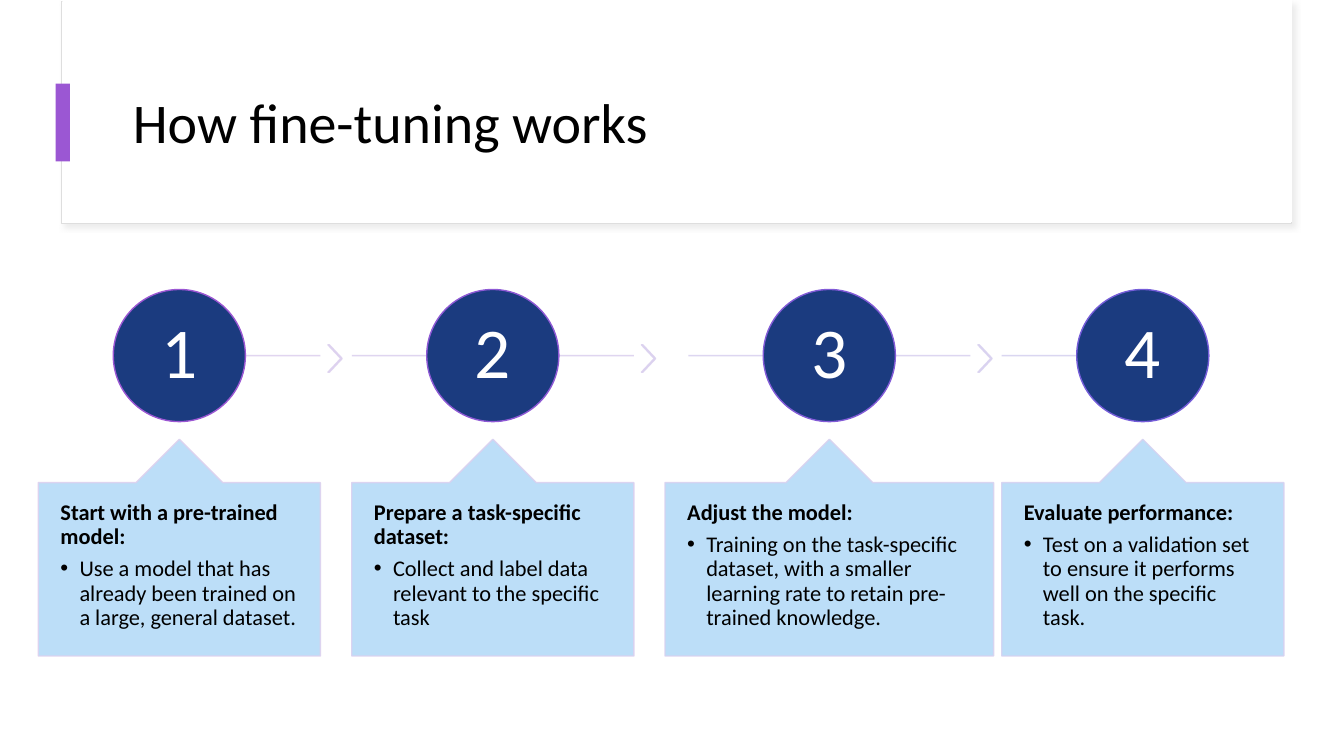
from lxml import etree
from pptx import Presentation
from pptx.dml.color import RGBColor
from pptx.enum.shapes import MSO_CONNECTOR, MSO_SHAPE
from pptx.enum.text import MSO_ANCHOR, PP_ALIGN
from pptx.oxml.ns import qn
from pptx.util import Cm, Pt

RECT, OVAL = MSO_SHAPE.RECTANGLE, MSO_SHAPE.OVAL
CHEVRON, CALLOUT = MSO_SHAPE.CHEVRON, MSO_SHAPE.UP_ARROW_CALLOUT
TOP, MIDDLE = MSO_ANCHOR.TOP, MSO_ANCHOR.MIDDLE
LEFT, CENTER = PP_ALIGN.LEFT, PP_ALIGN.CENTER

# Content
TITLE = "How fine-tuning works"
# heading, explanation, centre and width of the callout (cm)
STEPS = [
    ("Start with a pre-trained model:",
     "Use a model that has already been trained on a large, general dataset.", 4.52, 7.11),
    ("Prepare a task-specific dataset:",
     "Collect and label data relevant to the specific task", 12.42, 7.11),
    ("Adjust the model:",
     "Training on the task-specific dataset, with a smaller learning rate "
     "to retain pre-trained knowledge.", 20.9, 8.28),
    ("Evaluate performance:",
     "Test on a validation set to ensure it performs well on the specific task.", 28.8, 7.11),
]
# circle outline, track, chevron and callout outline of each step
TINTS = [
    ("9B57D3", "DED1EF", "DDD1EF", "DDD1EF"),
    ("8E59D5", "DCD1EF", "DBD1EF", "DAD1F0"),
    ("825BD7", "DAD2F0", "D9D2F0", "D8D2F0"),
    ("755DD9", "D7D2F0", "D7D2F0", "D6D2F1"),
]
NAVY, SKY, PURPLE, WHITE, BLACK = "1B3B7F", "B5DBF8", "9B57D3", "FFFFFF", "000000"
FONT = "Calibri"

# Layout (cm)
TRACK_WIDTH, TRACK_Y = 7.11, 8.96
CIRCLE = 3.33
CHEVRON_GAP, CHEVRON_TOP, CHEVRON_SIZE = 0.19, 8.69, (0.36, 0.69)
CALLOUT_TOP, CALLOUT_HEIGHT = 11.07, 5.46
BULLET_INDENT = 0.48


def paint(color_format, color, opacity=100):
    color_format.solid()
    color_format.fore_color.rgb = RGBColor.from_string(color)
    if opacity < 100:
        srgb = color_format._xPr.find(".//" + qn("a:srgbClr"))
        etree.SubElement(srgb, qn("a:alpha"), val=str(opacity * 1000))


def add_block(kind, left, top, width, height, fill, line=None, weight=1, opacity=100,
              line_opacity=100, adjust=()):
    block = slide.shapes.add_shape(kind, Cm(left), Cm(top), Cm(width), Cm(height))
    block.shadow.inherit = False
    paint(block.fill, fill, opacity)
    if line:
        paint(block.line.fill, line, line_opacity)
        block.line.width = Pt(weight)
    else:
        block.line.fill.background()
    for index, value in enumerate(adjust):
        block.adjustments[index] = value
    return block


def add_track(start, end, color):
    track = slide.shapes.add_connector(
        MSO_CONNECTOR.STRAIGHT, Cm(start), Cm(TRACK_Y), Cm(end), Cm(TRACK_Y))
    paint(track.line.fill, color, 90)
    track.line.width = Pt(1)
    etree.SubElement(track._element.spPr, qn("a:effectLst"))


def write(shape, text, size=16, color=BLACK, bold=False, align=LEFT, anchor=TOP,
          insets=(0.25, 0.13), bullet=False, after=0, more=False):
    """Write one paragraph; more=True adds it below the existing text."""
    frame = shape.text_frame
    frame.word_wrap = True
    frame.vertical_anchor = anchor
    frame.margin_left = frame.margin_right = Cm(insets[0])
    frame.margin_top = frame.margin_bottom = Cm(insets[1])
    paragraph = frame.add_paragraph() if more else frame.paragraphs[0]
    paragraph.alignment = align
    paragraph.line_spacing = 0.9
    paragraph.space_after = Pt(after)
    if bullet:
        properties = paragraph._p.get_or_add_pPr()
        properties.set("marL", str(Cm(BULLET_INDENT)))
        properties.set("indent", str(-Cm(BULLET_INDENT)))
        etree.SubElement(properties, qn("a:buFont"), typeface="Arial")
        etree.SubElement(properties, qn("a:buChar"), char="•")
    run = paragraph.add_run()
    run.text = text
    run.font.name, run.font.size, run.font.bold = FONT, Pt(size), bold
    run.font.color.rgb = RGBColor.from_string(color)


presentation = Presentation()
presentation.slide_width, presentation.slide_height = Cm(33.87), Cm(19.05)
slide = presentation.slides.add_slide(presentation.slide_layouts[6])

# Title panel with soft shadow
panel = add_block(RECT, 1.55, 0.03, 31.01, 5.61, WHITE, "DEDEDE", 0.75)
effects = panel._element.spPr.find(qn("a:effectLst"))
shadow = etree.SubElement(effects, qn("a:outerShdw"), blurRad=str(Pt(4)), dist=str(Pt(3)),
                          dir="2700000", algn="tl", rotWithShape="0")
shadow_color = etree.SubElement(shadow, qn("a:srgbClr"), val="D9D9D9")
etree.SubElement(shadow_color, qn("a:alpha"), val="50000")
add_block(RECT, 1.57, 0, 30.99, 5.59, WHITE)

title = slide.shapes.add_textbox(Cm(3.1), Cm(1.52), Cm(28.24), Cm(3.28))
write(title, TITLE, size=40, anchor=MIDDLE)
add_block(RECT, 1.4, 2.11, 0.36, 1.96, PURPLE)

# Steps
for number, (step, tints) in enumerate(zip(STEPS, TINTS), start=1):
    heading, explanation, center, width = step
    ring, track, arrow, edge = tints
    first, last = number == 1, number == len(STEPS)

    # Track and chevron to the next step
    track_end = center + TRACK_WIDTH / 2
    add_track(center if first else center - TRACK_WIDTH / 2,
              center if last else track_end, track)
    if not last:
        add_block(CHEVRON, track_end + CHEVRON_GAP, CHEVRON_TOP, *CHEVRON_SIZE, arrow, arrow,
                  opacity=90, line_opacity=90, adjust=[0.9])

    # Numbered circle
    circle = add_block(OVAL, center - CIRCLE / 2, TRACK_Y - CIRCLE / 2, CIRCLE, CIRCLE,
                       NAVY, ring)
    write(circle, str(number), size=51, color=WHITE, align=CENTER, anchor=MIDDLE,
          insets=(0.13, 0.13))

    # Callout
    callout = add_block(CALLOUT, center - width / 2, CALLOUT_TOP, width, CALLOUT_HEIGHT,
                        SKY, edge, opacity=90, line_opacity=90, adjust=[0.5, 0.2, 0.2, 1])
    write(callout, heading, bold=True, insets=(0.56, 0.46), after=6)
    write(callout, explanation, insets=(0.56, 0.46), bullet=True, more=True)

presentation.save("out.pptx")
